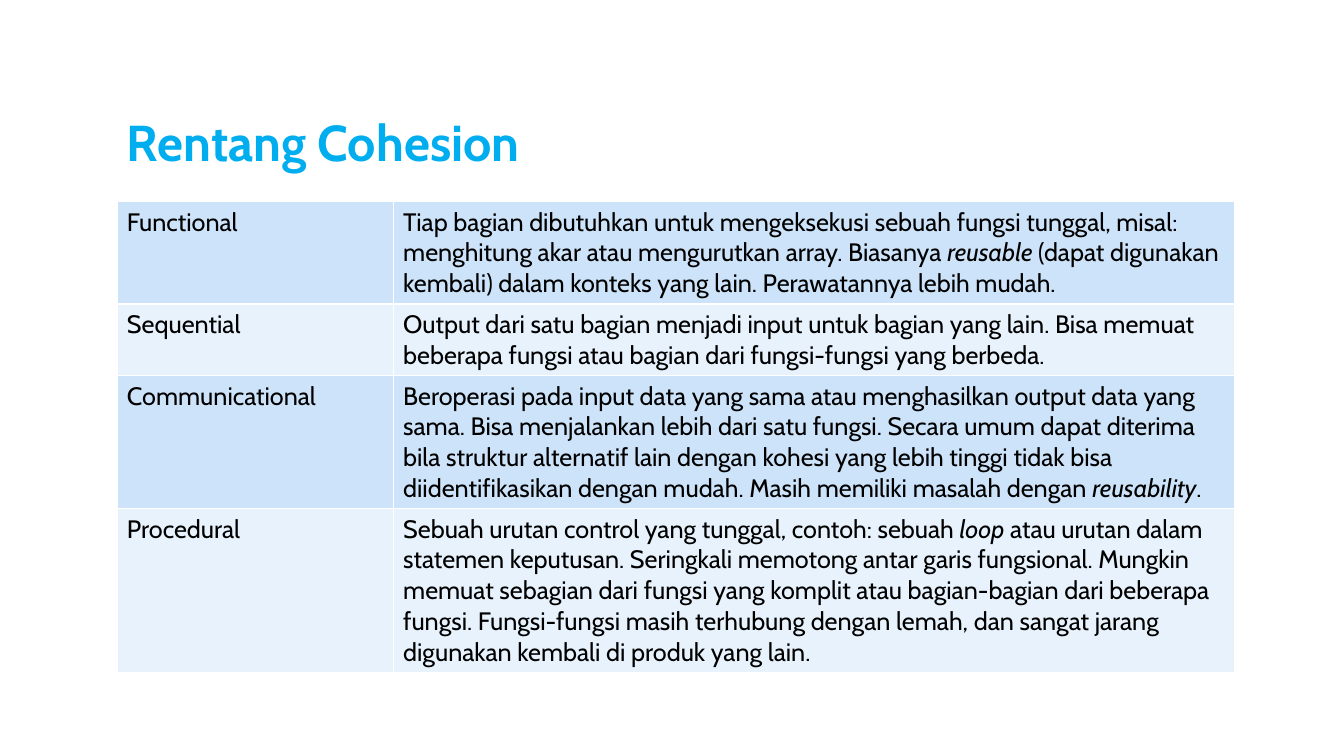
from dataclasses import dataclass

from lxml.etree import SubElement
from pptx import Presentation
from pptx.dml.color import RGBColor
from pptx.enum.text import MSO_ANCHOR, PP_ALIGN
from pptx.oxml.ns import qn
from pptx.util import Pt


@dataclass(frozen=True)
class Theme:
    font: str = "Cabin"
    title_color: str = "00AEEF"
    text_color: str = "000000"
    border_color: str = "FFFFFF"
    row_fills: tuple = ("CCE3F9", "E7F2FC")
    title_size: int = 36
    body_size: int = 18


theme = Theme()


def write_text(paragraph, text, size=theme.body_size, color=theme.text_color, bold=False):
    """Fill a paragraph; parts between asterisks are italic."""
    paragraph.alignment = PP_ALIGN.LEFT
    for index, part in enumerate(text.split("*")):
        run = paragraph.add_run()
        run.text = part
        run.font.name = theme.font
        run.font.size = Pt(size)
        run.font.color.rgb = RGBColor.from_string(color)
        run.font.bold = bold
        run.font.italic = index % 2 == 1


def add_borders(cell, color=theme.border_color, width=1):
    properties = cell._tc.get_or_add_tcPr()
    for position, side in enumerate(("a:lnL", "a:lnR", "a:lnT", "a:lnB")):
        line = SubElement(properties, qn(side), w=str(Pt(width)))
        fill = SubElement(line, qn("a:solidFill"))
        SubElement(fill, qn("a:srgbClr"), val=color)
        properties.insert(position, line)


# Slide
presentation = Presentation()
presentation.slide_width = Pt(960)
presentation.slide_height = Pt(540)
slide = presentation.slides.add_slide(presentation.slide_layouts[5])

# Title
title = slide.shapes.title
title.left, title.top, title.width, title.height = Pt(83.5), Pt(42), Pt(684), Pt(84)
title.text_frame.vertical_anchor = MSO_ANCHOR.BOTTOM
title.text_frame.word_wrap = True
title_paragraph = title.text_frame.paragraphs[0]
title_paragraph.line_spacing = 0.8
write_text(title_paragraph, "Rentang Cohesion", size=theme.title_size,
           color=theme.title_color, bold=True)

# Cohesion levels: name, description, number of text lines
levels = [
    ("Functional",
     "Tiap bagian dibutuhkan untuk mengeksekusi sebuah fungsi tunggal, misal: "
     "menghitung akar atau mengurutkan array. Biasanya *reusable* (dapat digunakan "
     "kembali) dalam konteks yang lain. Perawatannya lebih mudah.", 3),
    ("Sequential",
     "Output dari satu bagian menjadi input untuk bagian yang lain. Bisa memuat "
     "beberapa fungsi atau bagian dari fungsi-fungsi yang berbeda.", 2),
    ("Communicational",
     "Beroperasi pada input data yang sama atau menghasilkan output data yang "
     "sama. Bisa menjalankan lebih dari satu fungsi. Secara umum dapat diterima "
     "bila struktur alternatif lain dengan kohesi yang lebih tinggi tidak bisa "
     "diidentifikasikan dengan mudah. Masih memiliki masalah dengan *reusability*.", 4),
    ("Procedural",
     "Sebuah urutan control yang tunggal, contoh: sebuah *loop* atau urutan dalam "
     "statemen keputusan. Seringkali memotong antar garis fungsional. Mungkin "
     "memuat sebagian dari fungsi yang komplit atau bagian-bagian dari beberapa "
     "fungsi. Fungsi-fungsi masih terhubung dengan lemah, dan sangat jarang "
     "digunakan kembali di produk yang lain.", 5),
]
line_height, cell_padding = 22, 7
column_widths = (197.3, 601.2)
row_heights = [lines * line_height + cell_padding for _, _, lines in levels]

# Table
table = slide.shapes.add_table(
    len(levels), len(column_widths), Pt(83.5), Pt(144),
    Pt(sum(column_widths)), Pt(sum(row_heights))).table
table.first_row = False
for column, width in zip(table.columns, column_widths):
    column.width = Pt(width)
for row_index, (name, description, _) in enumerate(levels):
    row = table.rows[row_index]
    row.height = Pt(row_heights[row_index])
    for cell, text in zip(row.cells, (name, description)):
        cell.fill.solid()
        cell.fill.fore_color.rgb = RGBColor.from_string(theme.row_fills[row_index % 2])
        add_borders(cell)
        write_text(cell.text_frame.paragraphs[0], text)

presentation.save("out.pptx")
